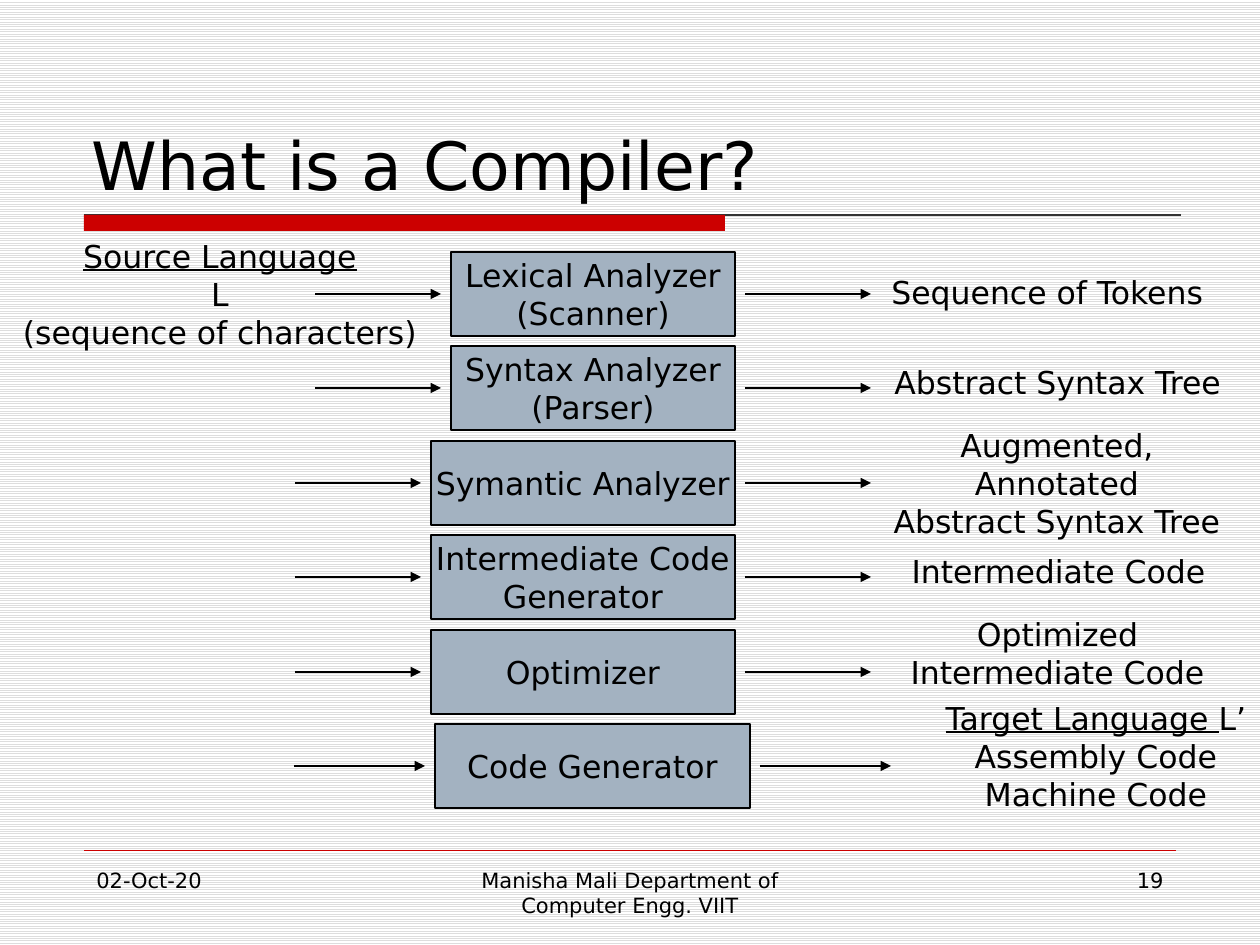
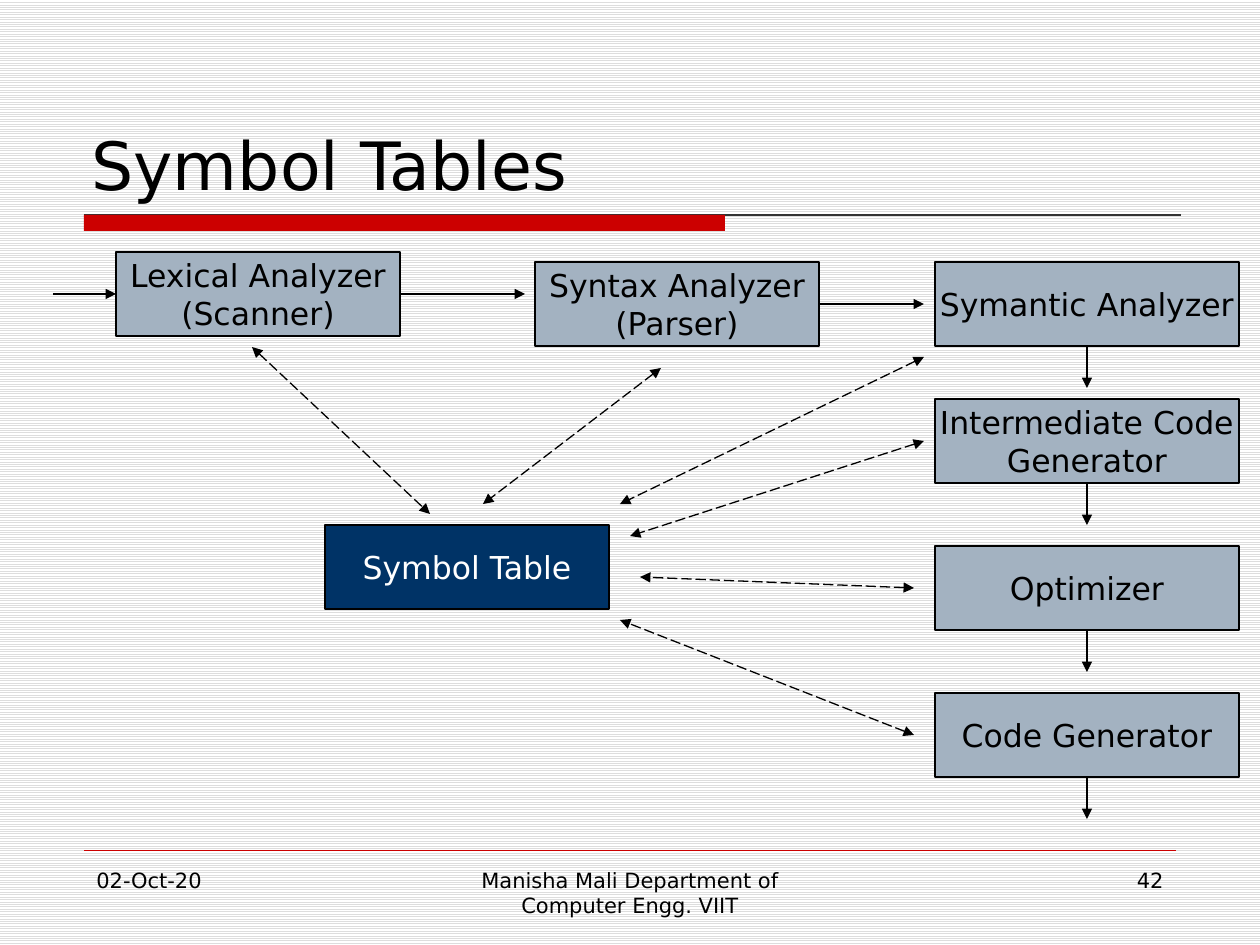
from lxml.etree import SubElement
from pptx import Presentation
from pptx.dml.color import RGBColor
from pptx.enum.dml import MSO_LINE, MSO_PATTERN
from pptx.enum.shapes import MSO_CONNECTOR, MSO_SHAPE
from pptx.enum.text import MSO_ANCHOR, PP_ALIGN
from pptx.oxml.ns import qn
from pptx.util import Emu, Pt

# Shared look
FONT = "DejaVu Sans"
BLACK, WHITE, STRIPE, RED, RULE = "000000", "FFFFFF", "DDDDDD", "CC0000", "333333"
STEEL, NAVY = "A3B2C1", "003366"
LEFT, CENTER, RIGHT = PP_ALIGN.LEFT, PP_ALIGN.CENTER, PP_ALIGN.RIGHT
LEFT_SIDE, BOTTOM_SIDE, RIGHT_SIDE = 1, 2, 3
DATE = "02-Oct-20"
AUTHOR = "Manisha Mali Department of Computer Engg. VIIT"
BOX_H, GAP = 84, 10
NARROW, WIDE = 284, 304

# Compiler phases: box text, box left, box width, arrow length
PHASES = [
    ("Lexical Analyzer\n(Scanner)", 451, NARROW, 126),
    ("Syntax Analyzer\n(Parser)", 451, NARROW, 126),
    ("Symantic Analyzer", 431, WIDE, 126),
    ("Intermediate Code\nGenerator", 431, WIDE, 126),
    ("Optimizer", 431, WIDE, 126),
    ("Code Generator", 435, 315, 131),
]
LEXICAL, SYNTAX, SEMANTIC, INTERMEDIATE, OPTIMIZER, GENERATOR = [p[0] for p in PHASES]
SYMBOLS = "Symbol Table"

# Phase inputs and outputs: text, underlined start, left, top, width, alignment
LABELS = [
    ("Source Language\nL\n(sequence of characters)", "Source Language", 6, 231, 428, CENTER),
    ("Sequence of Tokens", "", 879, 267, 344, LEFT),
    ("Abstract Syntax Tree", "", 882, 357, 359, LEFT),
    ("Augmented, Annotated\nAbstract Syntax Tree", "", 877, 420, 360, CENTER),
    ("Intermediate Code", "", 897, 546, 323, CENTER),
    ("Optimized\nIntermediate Code", "", 896, 609, 323, CENTER),
    ("Target Language L’\nAssembly Code\nMachine Code", "Target Language ", 932, 693, 328, CENTER),
]

# Symbol table slide: text, left, top, width, fill, text colour
BOXES = [
    (LEXICAL, 116, 252, NARROW, STEEL, BLACK),
    (SYNTAX, 535, 262, NARROW, STEEL, BLACK),
    (SEMANTIC, 935, 262, WIDE, STEEL, BLACK),
    (INTERMEDIATE, 935, 399, WIDE, STEEL, BLACK),
    (OPTIMIZER, 935, 546, WIDE, STEEL, BLACK),
    (GENERATOR, 935, 693, WIDE, STEEL, BLACK),
    (SYMBOLS, 325, 525, NARROW, NAVY, WHITE),
]
LOOKUPS = [
    ((252, 347), (430, 514)),
    ((661, 368), (483, 504)),
    ((924, 357), (620, 504)),
    ((924, 441), (630, 536)),
    ((914, 588), (640, 577)),
    ((914, 735), (620, 620)),
]


def px(n):
    return Emu(round(n * 914400 / 126))


def color(hex_string):
    return RGBColor.from_string(hex_string)


def style_text(tf, size, text_color, align):
    for p in tf.paragraphs:
        p.alignment = align
        for r in p.runs:
            r.font.name, r.font.size = FONT, Pt(size)
            r.font.color.rgb = color(text_color)


def add_text(s, text, left, top, width, height, size, align=LEFT,
             anchor=MSO_ANCHOR.TOP, underlined=""):
    tf = s.shapes.add_textbox(px(left), px(top), px(width), px(height)).text_frame
    tf.word_wrap, tf.vertical_anchor = True, anchor
    tf.text = text
    if underlined:
        p = tf.paragraphs[0]
        rest = p.text[len(underlined):]
        p.text = underlined
        p.runs[0].font.underline = True
        if rest:
            p.add_run().text = rest
    style_text(tf, size, BLACK, align)


def add_box(s, text, left, top, width, fill=STEEL, text_color=BLACK):
    sp = s.shapes.add_shape(MSO_SHAPE.RECTANGLE, px(left), px(top), px(width), px(BOX_H))
    sp.shadow.inherit = False
    sp.fill.solid()
    sp.fill.fore_color.rgb = color(fill)
    sp.line.color.rgb, sp.line.width = color(BLACK), Pt(0.75)
    tf = sp.text_frame
    tf.margin_left = tf.margin_right = 0
    tf.word_wrap, tf.vertical_anchor = False, MSO_ANCHOR.MIDDLE
    tf.text = text
    style_text(tf, 18, text_color, CENTER)
    return sp


def add_line(s, start, end, line_color=BLACK, width=0.75, heads=()):
    line = s.shapes.add_connector(MSO_CONNECTOR.STRAIGHT, *map(px, start + end))
    line.line.color.rgb, line.line.width = color(line_color), Pt(width)
    props = line.line._get_or_add_ln()
    for head in heads:
        SubElement(props, qn("a:" + head), type="triangle")
    SubElement(line._element.spPr, qn("a:effectLst"))
    return line


def add_arrow(s, start, end):
    return add_line(s, start, end, heads=["tailEnd"])


def add_base(prs, title, number):
    s = prs.slides.add_slide(prs.slide_layouts[6])
    # Striped background
    fill = s.background.fill
    fill.patterned()
    fill.pattern = MSO_PATTERN.LIGHT_HORIZONTAL
    fill.fore_color.rgb, fill.back_color.rgb = color(STRIPE), color(WHITE)
    # Title rule and red bar
    add_line(s, (84, 215), (1181, 215), RULE)
    bar = s.shapes.add_shape(MSO_SHAPE.RECTANGLE, px(84), px(215), px(641), px(16))
    bar.shadow.inherit = False
    bar.fill.solid()
    bar.fill.fore_color.rgb = color(RED)
    bar.line.fill.background()
    add_text(s, title, 79, 42, 1102, 168, 38, anchor=MSO_ANCHOR.BOTTOM)
    # Footer
    add_line(s, (84, 850), (1176, 850), RED, 0.25)
    for text, left, width, align in [(DATE, 84, 273, LEFT), (AUTHOR, 430, 400, CENTER),
                                     (number, 903, 273, RIGHT)]:
        add_text(s, text, left, 861, width, 66, 12, align)
    return s


def build_compiler(prs):
    s = add_base(prs, "What is a Compiler?", "19")
    for i, (text, left, width, length) in enumerate(PHASES):
        top = 252 + 189 * i // 2
        middle = top + BOX_H // 2
        right = left + width
        add_box(s, text, left, top, width)
        add_arrow(s, (left - GAP - length, middle), (left - GAP, middle))
        add_arrow(s, (right + GAP, middle), (right + GAP + length, middle))
    for text, underlined, left, top, width, align in LABELS:
        height = 12 + 38 * (text.count("\n") + 1)
        add_text(s, text, left, top, width, height, 18, align, underlined=underlined)


def build_symbol_tables(prs):
    s = add_base(prs, "Symbol Tables", "42")
    shapes = {}
    for text, left, top, width, fill, text_color in BOXES:
        shapes[text] = add_box(s, text, left, top, width, fill, text_color)
        # Flow down the right-hand column
        if width == WIDE:
            center, bottom = left + width // 2, top + BOX_H
            arrow = add_arrow(s, (center, bottom), (center, bottom + 42))
            arrow.begin_connect(shapes[text], BOTTOM_SIDE)
    # Flow along the top row
    add_arrow(s, (53, 294), (116, 294)).end_connect(shapes[LEXICAL], LEFT_SIDE)
    add_arrow(s, (400, 294), (525, 294)).begin_connect(shapes[LEXICAL], RIGHT_SIDE)
    add_arrow(s, (819, 304), (924, 304)).begin_connect(shapes[SYNTAX], RIGHT_SIDE)
    # Symbol table lookups
    for start, end in LOOKUPS:
        lookup = add_line(s, start, end, heads=["headEnd", "tailEnd"])
        lookup.line.dash_style = MSO_LINE.LONG_DASH


def main():
    prs = Presentation()
    prs.slide_width, prs.slide_height = px(1260), px(945)
    build_compiler(prs)
    build_symbol_tables(prs)
    prs.save("out.pptx")


if __name__ == "__main__":
    main()
